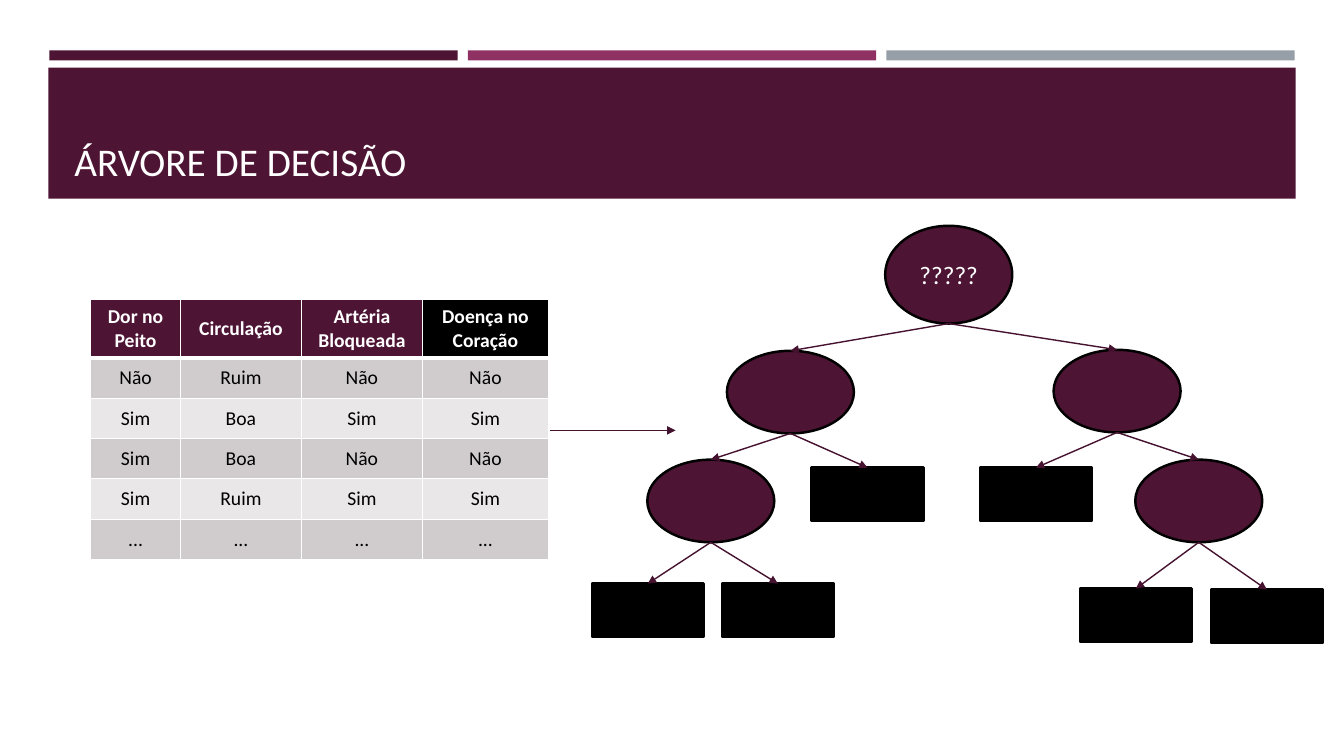
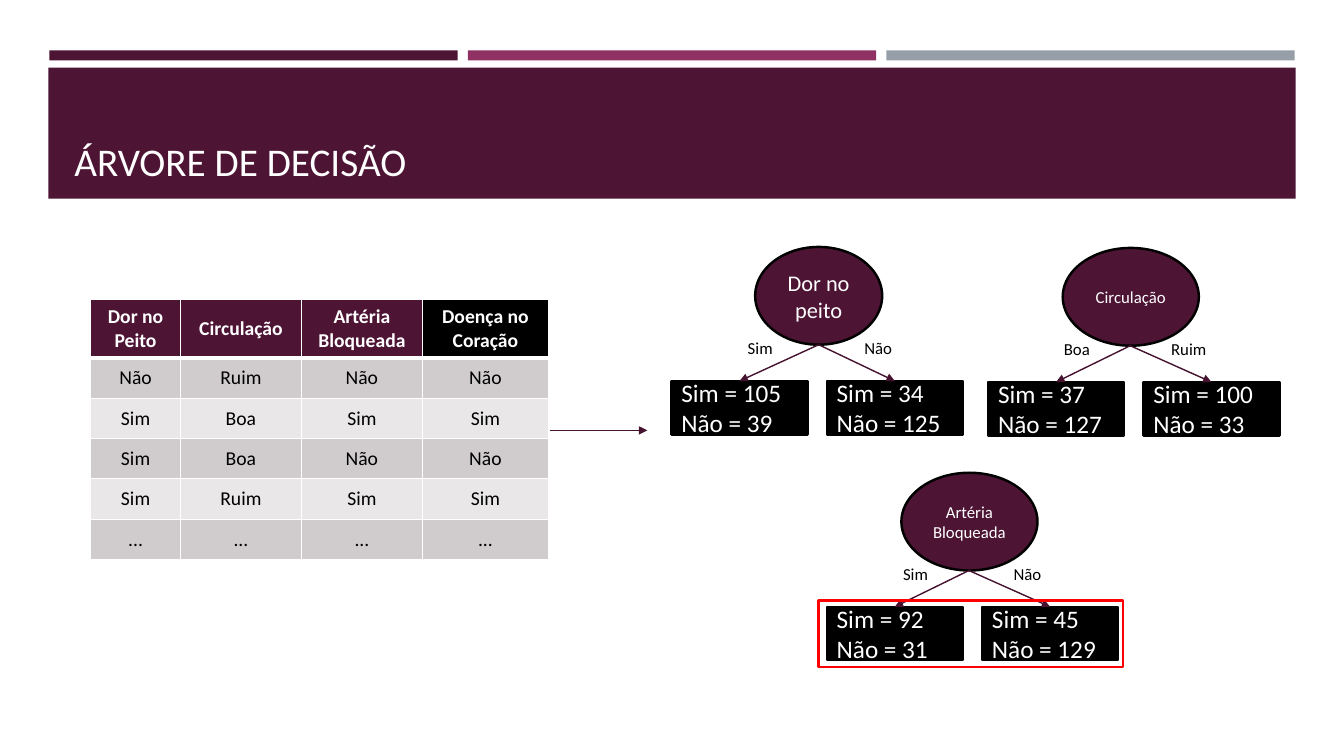
from dataclasses import dataclass

from lxml.etree import SubElement
from pptx import Presentation
from pptx.dml.color import RGBColor
from pptx.enum.shapes import MSO_CONNECTOR, MSO_SHAPE
from pptx.enum.text import MSO_ANCHOR, PP_ALIGN
from pptx.oxml.ns import qn
from pptx.shapes.autoshape import Shape
from pptx.shapes.connector import Connector
from pptx.slide import Slide
from pptx.table import _Cell as Cell
from pptx.text.text import TextFrame
from pptx.util import Emu, Pt

EMU_PER_PX = 9144
FONT = "Calibri"
PLUM, MAGENTA, GREY = "4D1434", "903163", "969FA7"
WHITE, BLACK, RED = "FFFFFF", "000000", "FF0000"
ARROW = "45122F"
ROW_FILLS = ("D0CCCE", "E9E7E8")

TITLE = "ÁRVORE DE DECISÃO"
COLUMN_WIDTHS = (89, 120, 120, 125)
HEADER_HEIGHT, ROW_HEIGHT = 58, 40
ROWS = (
    ("Dor no Peito", "Circulação", "Artéria Bloqueada", "Doença no Coração"),
    ("Não", "Ruim", "Não", "Não"),
    ("Sim", "Boa", "Sim", "Sim"),
    ("Sim", "Boa", "Não", "Não"),
    ("Sim", "Ruim", "Sim", "Sim"),
    ("...", "...", "...", "..."),
)


@dataclass(frozen=True)
class Box:
    left: int
    top: int
    width: int
    height: int


@dataclass(frozen=True)
class Node:
    box: Box
    text: str = ""
    size: int = 18
    children: tuple["Node", ...] = ()
    answers: tuple[tuple[str, int], ...] = ()


def px(length: int) -> Emu:
    return Emu(length * EMU_PER_PX)


def place(box: Box) -> tuple[Emu, Emu, Emu, Emu]:
    return px(box.left), px(box.top), px(box.width), px(box.height)


def color(value: str) -> RGBColor:
    return RGBColor.from_string(value)


def write(
    frame: TextFrame,
    text: str,
    *,
    size: int,
    fill: str = WHITE,
    bold: bool = False,
    align: PP_ALIGN = PP_ALIGN.CENTER,
    anchor: MSO_ANCHOR = MSO_ANCHOR.MIDDLE,
) -> None:
    frame.word_wrap = True
    frame.vertical_anchor = anchor
    for index, line in enumerate(text.split("\n")):
        para = frame.add_paragraph() if index else frame.paragraphs[0]
        para.alignment = align
        span = para.add_run()
        span.text = line
        span.font.name = FONT
        span.font.size = Pt(size)
        span.font.bold = bold
        span.font.color.rgb = color(fill)


def add_text(page: Slide, box: Box, text: str, **style) -> None:
    write(page.shapes.add_textbox(*place(box)).text_frame, text, **style)


def add_block(
    page: Slide,
    box: Box,
    *,
    kind: MSO_SHAPE = MSO_SHAPE.RECTANGLE,
    fill: str | None = None,
    line: str | None = None,
) -> Shape:
    shape = page.shapes.add_shape(kind, *place(box))
    shape.shadow.inherit = False
    if fill:
        shape.fill.solid()
        shape.fill.fore_color.rgb = color(fill)
    else:
        shape.fill.background()
    if line:
        shape.line.color.rgb = color(line)
        shape.line.width = Pt(1.75)
    else:
        shape.line.fill.background()
    return shape


def add_arrow(page: Slide, start: tuple[int, int], end: tuple[int, int]) -> Connector:
    points = (px(value) for value in (*start, *end))
    arrow = page.shapes.add_connector(MSO_CONNECTOR.STRAIGHT, *points)
    arrow.line.color.rgb = color(ARROW)
    arrow.line.width = Pt(1)
    properties = arrow._element.spPr
    SubElement(properties.find(qn("a:ln")), qn("a:tailEnd"), type="triangle")
    SubElement(properties, qn("a:effectLst"))
    return arrow


def add_borders(cell: Cell, top: int, bottom: int) -> None:
    properties = cell._tc.get_or_add_tcPr()
    for side, points in (("L", 1), ("R", 1), ("T", top), ("B", bottom)):
        border = SubElement(properties, qn(f"a:ln{side}"), w=str(Pt(points)))
        SubElement(SubElement(border, qn("a:solidFill")), qn("a:srgbClr"), val=WHITE)


def add_patients(page: Slide) -> None:
    height = HEADER_HEIGHT + ROW_HEIGHT * (len(ROWS) - 1)
    box = Box(90, 297, sum(COLUMN_WIDTHS), height)
    table = page.shapes.add_table(len(ROWS), len(COLUMN_WIDTHS), *place(box)).table
    table.horz_banding = False
    for column, width in zip(table.columns, COLUMN_WIDTHS):
        column.width = px(width)
    for row, texts in enumerate(ROWS):
        header = row == 0
        table.rows[row].height = px(ROW_HEIGHT if row else HEADER_HEIGHT)
        for column, text in enumerate(texts):
            cell = table.cell(row, column)
            add_borders(cell, top=3 if row == 1 else 1, bottom=3 if header else 1)
            target = column == len(texts) - 1
            header_fill = BLACK if target else PLUM
            cell.fill.solid()
            cell.fill.fore_color.rgb = color(
                header_fill if header else ROW_FILLS[(row - 1) % 2]
            )
            cell.vertical_anchor = MSO_ANCHOR.MIDDLE
            write(
                cell.text_frame,
                text,
                size=14,
                fill=WHITE if header else BLACK,
                bold=header,
            )


def add_tree(page: Slide, node: Node) -> Shape:
    box = node.box
    question = bool(node.children)
    shape = add_block(
        page,
        box,
        kind=MSO_SHAPE.OVAL if question else MSO_SHAPE.RECTANGLE,
        fill=PLUM if question else BLACK,
        line=BLACK,
    )
    if node.text:
        align = PP_ALIGN.CENTER if question else PP_ALIGN.JUSTIFY
        write(shape.text_frame, node.text, size=node.size, align=align)
    for child in node.children:
        target = add_tree(page, child)
        start = (box.left + box.width // 2, box.top + box.height)
        end = (child.box.left + child.box.width // 2, child.box.top)
        add_arrow(page, start, end).end_connect(target, 0)
    for answer, left in node.answers:
        label = Box(left, box.top + 85, 58, 30)
        add_text(page, label, answer, size=12, fill=BLACK, anchor=MSO_ANCHOR.TOP)
    return shape


def question(left: int, top: int, *children: Node) -> Node:
    return Node(Box(left, top, 126, 82), children=children)


def leaf(left: int, top: int) -> Node:
    return Node(Box(left, top, 111, 53))


def stump(
    box: Box,
    text: str,
    size: int,
    leaf_left: int,
    answers: tuple[tuple[str, int], ...],
    counts: tuple[tuple[int, int], ...],
) -> Node:
    leaves = tuple(
        Node(
            Box(leaf_left + 154 * index, box.top + 133, 135, 53),
            f"Sim = {sick}\nNão = {healthy}",
        )
        for index, (sick, healthy) in enumerate(counts)
    )
    return Node(box, text, size, leaves, answers)


UNKNOWN_TREE = Node(
    Box(878, 224, 126, 97),
    "?????",
    children=(
        question(
            721, 348, question(642, 456, leaf(587, 579), leaf(716, 579)), leaf(805, 464)
        ),
        question(
            1045, 347, leaf(972, 464), question(1126, 456, leaf(1071, 584), leaf(1201, 585))
        ),
    ),
)

STUMPS = (
    stump(
        Box(749, 245, 126, 97), "Dor no peito", 16, 666,
        (("Sim", 725), ("Não", 842)), ((105, 39), (34, 125)),
    ),
    stump(
        Box(1054, 246, 135, 97), "Circulação", 12, 980,
        (("Boa", 1039), ("Ruim", 1150)), ((37, 127), (100, 33)),
    ),
    stump(
        Box(894, 469, 135, 97), "Artéria Bloqueada", 12, 820,
        (("Sim", 879), ("Não", 990)), ((92, 31), (45, 129)),
    ),
)


def add_page(deck: Presentation, arrow_end: int, trees: tuple[Node, ...]) -> Slide:
    page = deck.slides.add_slide(deck.slide_layouts[6])
    for index, fill in enumerate((PLUM, MAGENTA, GREY)):
        add_block(page, Box(49 + 415 * index, 50, 405, 10), fill=fill)
    add_block(page, Box(48, 67, 1237, 130), fill=PLUM)
    add_text(
        page,
        Box(64, 77, 1206, 111),
        TITLE,
        size=28,
        align=PP_ALIGN.LEFT,
        anchor=MSO_ANCHOR.BOTTOM,
    )
    add_patients(page)
    add_arrow(page, (545, 427), (arrow_end, 427))
    for tree in trees:
        add_tree(page, tree)
    return page


def main() -> None:
    deck = Presentation()
    deck.slide_width, deck.slide_height = px(1333), px(750)
    add_page(deck, 670, (UNKNOWN_TREE,))
    comparison = add_page(deck, 642, STUMPS)
    add_block(comparison, Box(812, 596, 302, 66), line=RED)
    deck.save("out.pptx")


if __name__ == "__main__":
    main()
